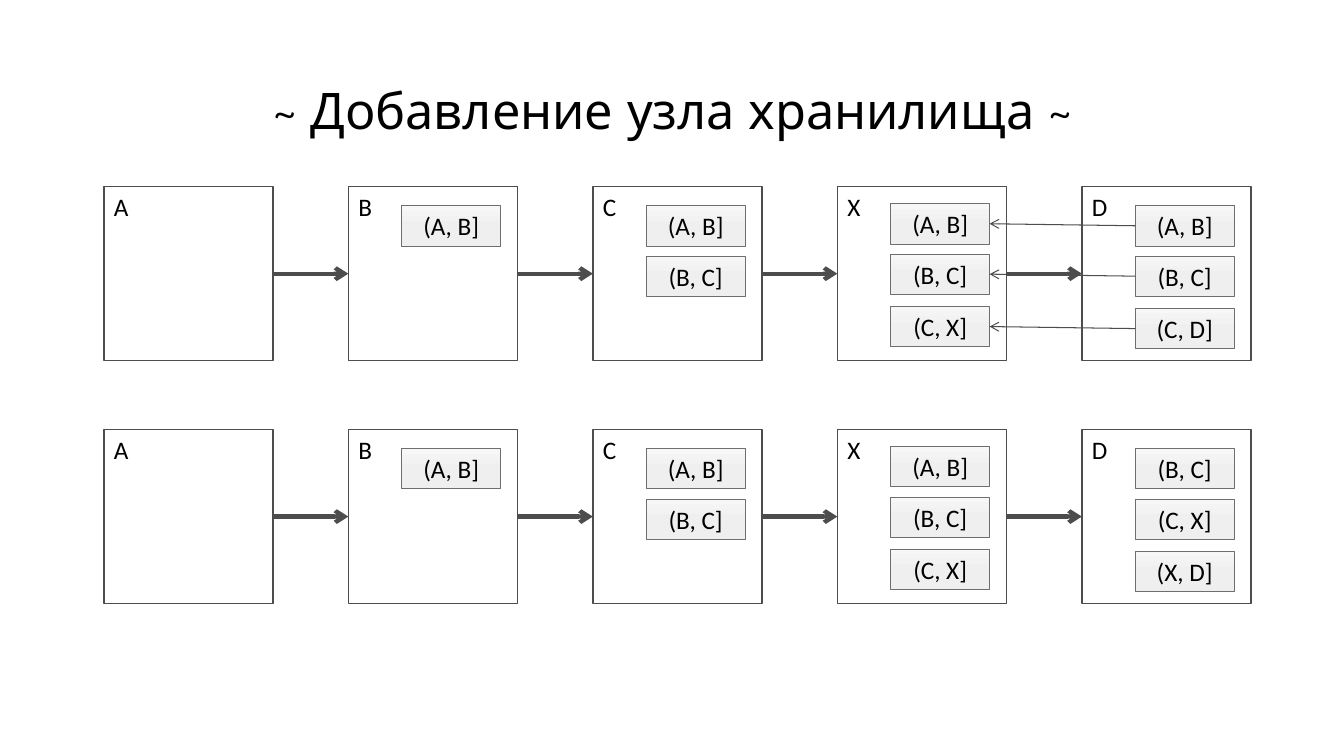
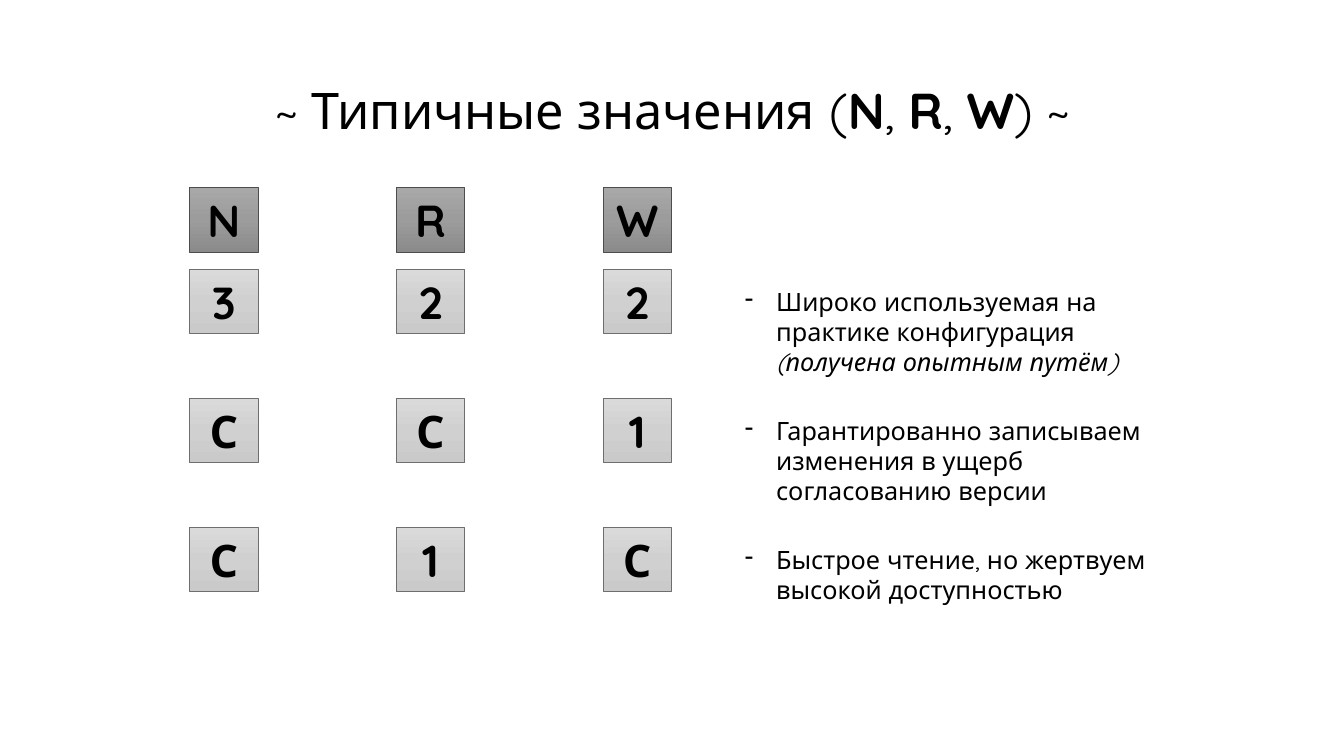
import copy

import pptx
import pptx.dml.color
import pptx.enum.shapes
import pptx.enum.text
import pptx.oxml
import pptx.oxml.ns
import pptx.util

Inches = pptx.util.Inches
Pt = pptx.util.Pt
RGB = pptx.dml.color.RGBColor
qn = pptx.oxml.ns.qn
SubElement = pptx.oxml.xmlchemy.OxmlElement
ALIGN = pptx.enum.text.PP_ALIGN
ANCHOR = pptx.enum.text.MSO_ANCHOR

BLACK = RGB(0x00, 0x00, 0x00)
WHITE = RGB(0xFF, 0xFF, 0xFF)
DARK_LINE = RGB(0x4D, 0x4D, 0x4D)
SOFT_LINE = RGB(0x6E, 0x6E, 0x6E)
RANGE_FILL = (RGB(0xF7, 0xF7, 0xF7), RGB(0xEF, 0xEF, 0xEF), RGB(0xED, 0xED, 0xED))
VALUE_FILL = (RGB(0xDA, 0xDA, 0xDA), RGB(0xD0, 0xD0, 0xD0), RGB(0xCA, 0xCA, 0xCA))
HEADER_FILL = (RGB(0xA8, 0xA8, 0xA8), RGB(0x9C, 0x9C, 0x9C), RGB(0x8B, 0x8B, 0x8B))
HEAD_FONT = "Quicksand"
LABEL_FONT = "Calibri"

# Text runs are (text, style), where style is "", "b" or "i".
RING_TITLE = [("~ Добавление узла хранилища ~", "")]
RINGS = [  # top, then each node with the ranges it stores
    (1.85, [("A", []), ("B", ["(A, B]"]), ("C", ["(A, B]", "(B, C]"]),
            ("X", ["(A, B]", "(B, C]", "(C, X]"]),
            ("D", ["(A, B]", "(B, C]", "(C, D]"])]),
    (4.26, [("A", []), ("B", ["(A, B]"]), ("C", ["(A, B]", "(B, C]"]),
            ("X", ["(A, B]", "(B, C]", "(C, X]"]),
            ("D", ["(B, C]", "(C, X]", "(X, D]"])]),
]
NODE_LEFT, NODE_PITCH, NODE_W, NODE_H = 1.03, 2.425, 1.68, 1.73
RANGE_DX, RANGE_W, RANGE_H = 0.53, 0.98, 0.4
RANGE_DY = (0.19, 0.69, 1.21)
NEW_NODE, NEW_NODE_LIFT = "X", 0.02

QUORUM_TITLE = [("~ Типичные значения (", ""), ("N", "b"), (", ", ""), ("R", "b"),
                (", ", ""), ("W", "b"), (") ~", "")]
QUORUM_HEADER = "NRW"
QUORUMS = [  # values, height of the comment, comment
    ("322", 1.01, [("Широко используемая на практике конфигурация ", ""),
                   ("(получена опытным путём)", "i")]),
    ("СС1", 1.01, [("Гарантированно записываем изменения в ущерб согласованию версии", "")]),
    ("С1С", 0.71, [("Быстрое чтение, но жертвуем высокой доступностью", "")]),
]
VALUE_LEFT, VALUE_PITCH, VALUE_W, VALUE_H = 1.88, 2.05, 0.68, 0.64
HEADER_TOP, QUORUM_TOP, QUORUM_PITCH = 1.86, 2.67, 1.28
COMMENT_LEFT, COMMENT_W, COMMENT_DY = 7.29, 4.47, 0.12


def add_runs(p, runs, font, size):
    for text, style in runs:
        r = p.add_run()
        r.text = text
        r.font.name = font
        r.font.size = Pt(size)
        r.font.color.rgb = BLACK
        r.font.bold = style == "b"
        r.font.italic = style == "i"


def style_title_layout(layout):
    """Place the title once, for every slide on this layout."""
    title = layout.placeholders[0]
    title.left, title.top = Inches(0.92), Inches(0.4)
    title.width, title.height = Inches(11.5), Inches(1.45)
    title.text_frame.vertical_anchor = ANCHOR.MIDDLE


def add_titled_slide(prs, runs):
    s = prs.slides.add_slide(prs.slide_layouts[5])
    p = s.shapes.title.text_frame.paragraphs[0]
    p.alignment = ALIGN.CENTER
    p.line_spacing = 0.9
    add_runs(p, runs, HEAD_FONT, 36)
    return s


def fill_gradient(fill, gs_list_owner, colors):
    """Fill from top to bottom with three evenly spaced colours."""
    fill.gradient()
    fill.gradient_angle = 270
    gs_list = gs_list_owner.find(".//" + qn("a:gsLst"))
    gs_list.insert(1, copy.deepcopy(gs_list[0]))
    for stop, position, color in zip(fill.gradient_stops, (0, 0.5, 1), colors):
        stop.position = position
        stop.color.rgb = color


def add_box(s, box, line, width):
    sp = s.shapes.add_shape(pptx.enum.shapes.MSO_SHAPE.RECTANGLE, *map(Inches, box))
    sp.shadow.inherit = False
    sp.line.color.rgb = line
    sp.line.width = Pt(width)
    return sp


def add_node(s, box, name):
    sp = add_box(s, box, DARK_LINE, 1)
    sp.fill.solid()
    sp.fill.fore_color.rgb = WHITE
    sp.text_frame.vertical_anchor = ANCHOR.TOP
    p = sp.text_frame.paragraphs[0]
    p.alignment = ALIGN.LEFT
    add_runs(p, [(name, "")], LABEL_FONT, 18)
    return sp


def add_tile(s, box, colors, line, run, font, size):
    sp = add_box(s, box, line, 0.5)
    fill_gradient(sp.fill, sp.element, colors)
    tf = sp.text_frame
    tf.word_wrap = False
    tf.vertical_anchor = ANCHOR.MIDDLE
    p = tf.paragraphs[0]
    p.alignment = ALIGN.CENTER
    add_runs(p, [run], font, size)
    return sp


def add_arrow(s, start, start_side, end, end_side, width):
    c = s.shapes.add_connector(pptx.enum.shapes.MSO_CONNECTOR.STRAIGHT, 0, 0, 0, 0)
    c.begin_connect(start, start_side)
    c.end_connect(end, end_side)
    c.line.color.rgb = DARK_LINE
    c.line.width = Pt(width)
    tail = SubElement("a:tailEnd")
    tail.set("type", "arrow")
    c.line._get_or_add_ln().append(tail)
    c.element.spPr.append(SubElement("a:effectLst"))


def add_ring(s, top, nodes):
    """Draw one row of nodes; return the range tiles of each node by name."""
    lefts = [NODE_LEFT + i * NODE_PITCH for i in range(len(nodes))]
    boxes = [add_node(s, (left, top, NODE_W, NODE_H), name)
             for left, (name, _) in zip(lefts, nodes)]
    for start, end in zip(boxes, boxes[1:]):
        add_arrow(s, start, 3, end, 1, 3)
    tiles = {}
    for left, (name, ranges) in zip(lefts, nodes):
        lift = NEW_NODE_LIFT if name == NEW_NODE else 0
        tiles[name] = [
            add_tile(s, (left + RANGE_DX, top + dy - lift, RANGE_W, RANGE_H),
                     RANGE_FILL, SOFT_LINE, (text, ""), LABEL_FONT, 18)
            for dy, text in zip(RANGE_DY, ranges)]
    return tiles


def add_value_row(s, top, values, colors, line):
    for i, value in enumerate(values):
        add_tile(s, (VALUE_LEFT + i * VALUE_PITCH, top, VALUE_W, VALUE_H),
                 colors, line, (value, "b"), HEAD_FONT, 32)


def add_comment(s, top, height, runs):
    tb = s.shapes.add_textbox(*map(Inches, (COMMENT_LEFT, top, COMMENT_W, height)))
    tf = tb.text_frame
    tf.word_wrap = True
    tf.auto_size = pptx.enum.text.MSO_AUTO_SIZE.SHAPE_TO_FIT_TEXT
    p = tf.paragraphs[0]
    pPr = p._p.get_or_add_pPr()
    pPr.set("marL", str(Inches(0.31)))
    pPr.set("indent", str(-Inches(0.31)))
    bullet = SubElement("a:buChar")
    bullet.set("char", "-")
    pPr.append(bullet)
    add_runs(p, runs, HEAD_FONT, 18)


def build_ring_slide(prs):
    s = add_titled_slide(prs, RING_TITLE)
    before, _ = [add_ring(s, top, nodes) for top, nodes in RINGS]
    for source, target in zip(before["D"], before[NEW_NODE]):
        add_arrow(s, source, 1, target, 3, 0.75)


def build_quorum_slide(prs):
    s = add_titled_slide(prs, QUORUM_TITLE)
    add_value_row(s, HEADER_TOP, QUORUM_HEADER, HEADER_FILL, DARK_LINE)
    for i, (values, height, comment) in enumerate(QUORUMS):
        top = QUORUM_TOP + i * QUORUM_PITCH
        add_value_row(s, top, values, VALUE_FILL, SOFT_LINE)
        add_comment(s, top + COMMENT_DY, height, comment)


def main():
    prs = pptx.Presentation()
    prs.slide_width, prs.slide_height = Inches(13.33), Inches(7.5)
    style_title_layout(prs.slide_layouts[5])
    build_ring_slide(prs)
    build_quorum_slide(prs)
    prs.save("out.pptx")


if __name__ == "__main__":
    main()
